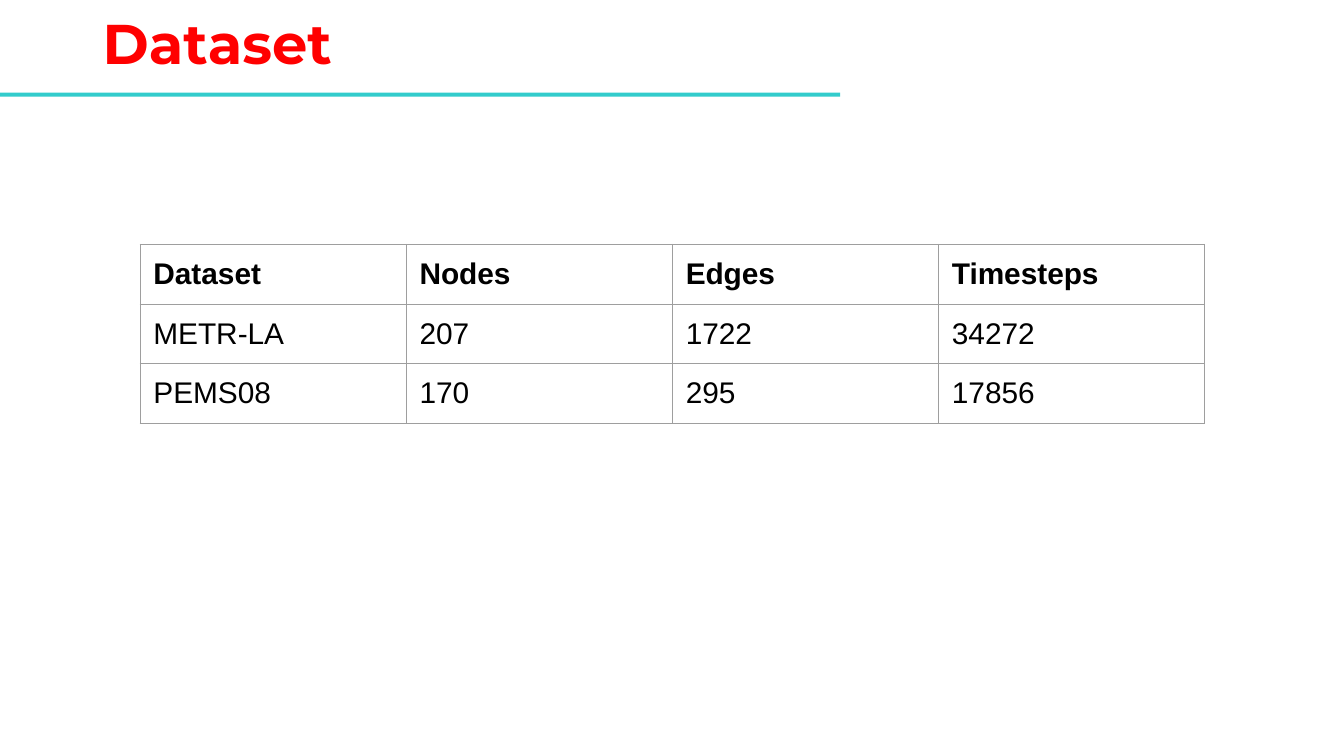
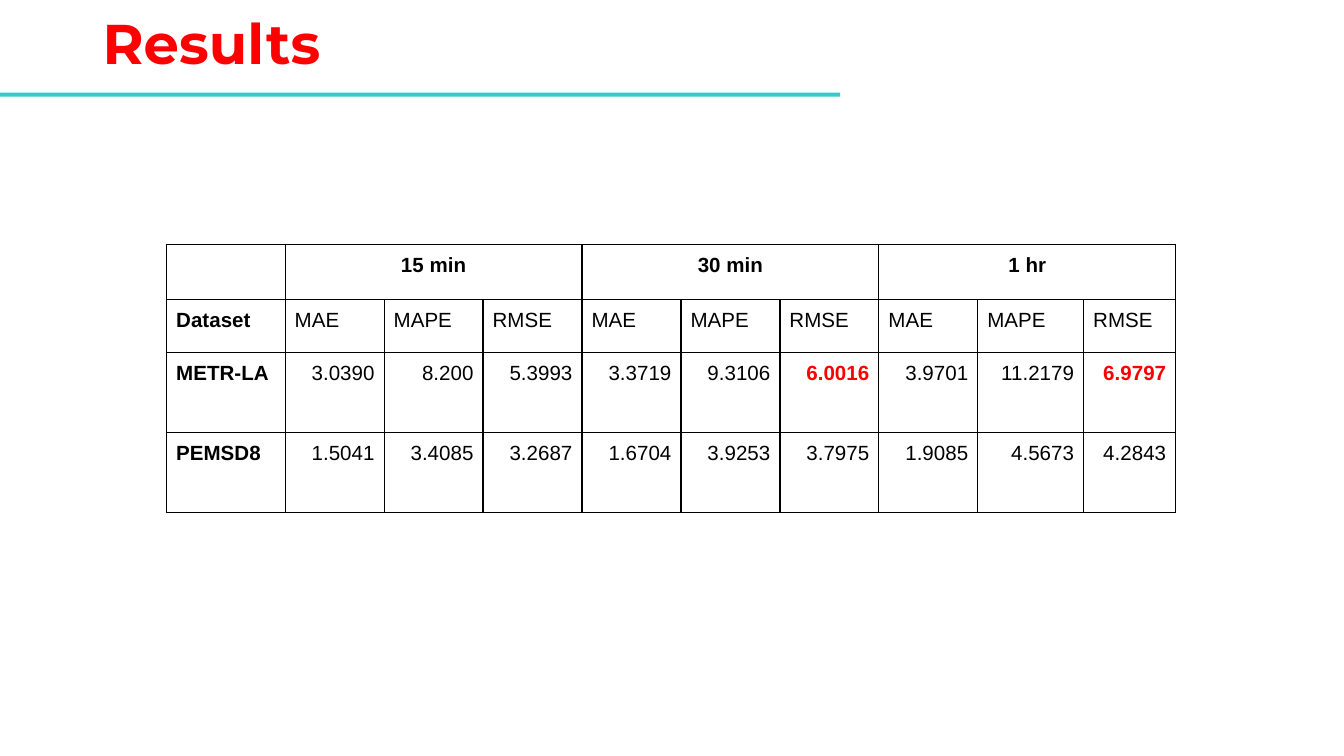
from lxml import etree
from pptx import Presentation
from pptx import util as u
from pptx.dml.color import RGBColor
from pptx.enum import shapes, text
from pptx.oxml.ns import qn

Cm, Pt = u.Cm, u.Pt
RED, TEAL, BLACK, WHITE, GREY = "FF0000", "33CCCC", "000000", "FFFFFF", "9E9E9E"
LEFT, CENTER, RIGHT = text.PP_ALIGN.LEFT, text.PP_ALIGN.CENTER, text.PP_ALIGN.RIGHT


def rgb(color):
    return RGBColor.from_string(color)


def set_borders(cell, color, width=0.75):
    tc_pr = cell._tc.get_or_add_tcPr()
    for i, side in enumerate(("lnL", "lnR", "lnT", "lnB")):
        ln = etree.Element(qn(f"a:{side}"), w=str(Pt(width)))
        fill = etree.SubElement(ln, qn("a:solidFill"))
        etree.SubElement(fill, qn("a:srgbClr"), val=color)
        tc_pr.insert(i, ln)


class Deck:
    title_font, body_font = "Montserrat", "Arial"
    table_top = 4.62

    def __init__(self):
        self.prs = Presentation()
        self.prs.slide_width, self.prs.slide_height = Cm(25.4), Cm(14.29)
        self.s = None

    def add_slide(self, title):
        self.s = self.prs.slides.add_slide(self.prs.slide_layouts[5])
        self.add_band()
        self.set_title(title)

    def add_band(self):
        sp = self.s.shapes.add_shape(
            shapes.MSO_SHAPE.RECTANGLE, 0, Cm(1.75), Cm(15.88), Cm(0.08))
        sp.shadow.inherit = False
        sp.fill.solid()
        sp.fill.fore_color.rgb = rgb(TEAL)
        sp.line.fill.background()

    def set_title(self, title):
        sp = self.s.shapes.title
        sp.left, sp.top, sp.width, sp.height = Cm(1.75), 0, Cm(21.9), Cm(1.75)
        tf = sp.text_frame
        tf.text = title
        tf.word_wrap = True
        tf.auto_size = text.MSO_AUTO_SIZE.NONE
        tf.vertical_anchor = text.MSO_ANCHOR.MIDDLE
        tf.margin_left = tf.margin_right = Cm(0.19)
        tf.margin_top = tf.margin_bottom = Cm(0.1)
        p = tf.paragraphs[0]
        p.alignment, p.line_spacing = LEFT, 0.9
        self.set_font(p, self.title_font, 30, RED, True)

    def set_font(self, p, name, size, color, bold):
        p.font.name, p.font.size, p.font.bold = name, Pt(size), bold
        p.font.color.rgb = rgb(color)

    def add_table(self, left, widths, heights, border, fill=None):
        frame = self.s.shapes.add_table(
            len(heights), len(widths), Cm(left), Cm(self.table_top),
            Cm(sum(widths)), Cm(sum(heights)))
        table = frame.table
        table.first_row = table.horz_banding = False
        for column, width in zip(table.columns, widths):
            column.width = Cm(width)
        for row, height in zip(table.rows, heights):
            row.height = Cm(height)
        for cell in table.iter_cells():
            if fill:
                cell.fill.solid()
                cell.fill.fore_color.rgb = rgb(fill)
            else:
                cell.fill.background()
            set_borders(cell, border)
        return table

    def fill_cell(self, cell, value, size, margin, bold=False, color=BLACK, align=LEFT):
        cell.margin_left = cell.margin_right = Cm(margin)
        cell.margin_top = cell.margin_bottom = Cm(margin)
        p = cell.text_frame.paragraphs[0]
        p.alignment = align
        self.set_font(p, self.body_font, size, color, bold)
        if value:
            p.add_run().text = value
        else:
            etree.SubElement(p._p, qn("a:endParaRPr"), sz=str(size * 100))


def add_dataset_slide(deck):
    deck.add_slide("Dataset")
    rows = [
        ("Dataset", "Nodes", "Edges", "Timesteps"),
        ("METR-LA", "207", "1722", "34272"),
        ("PEMS08", "170", "295", "17856"),
    ]
    table = deck.add_table(2.65, [5.03] * 4, [1.13] * 3, GREY)
    for i, row in enumerate(rows):
        for j, value in enumerate(row):
            deck.fill_cell(table.cell(i, j), value, 16, 0.25, bold=i == 0)


def add_results_slide(deck):
    deck.add_slide("Results")
    horizons = ("15 min", "30 min", "1 hr")
    metrics = ("MAE", "MAPE", "RMSE")
    rows = [
        [""] + [label for h in horizons for label in (h, "", "")],
        ["Dataset", *metrics * len(horizons)],
        ["METR-LA", "3.0390", "8.200", "5.3993", "3.3719", "9.3106", "6.0016",
         "3.9701", "11.2179", "6.9797"],
        ["PEMSD8", "1.5041", "3.4085", "3.2687", "1.6704", "3.9253", "3.7975",
         "1.9085", "4.5673", "4.2843"],
    ]
    highlights = {"6.0016", "6.9797"}
    table = deck.add_table(3.15, [2.24] + [1.87] * 7 + [2.0, 1.74],
                           [1.04, 1.01, 1.51, 1.5], BLACK, WHITE)
    for i, row in enumerate(rows):
        for j, value in enumerate(row):
            marked = value in highlights
            align = LEFT if j == 0 or i == 1 else CENTER if i == 0 else RIGHT
            deck.fill_cell(table.cell(i, j), value, 11, 0.18,
                           bold=i == 0 or j == 0 or marked,
                           color=RED if marked else BLACK, align=align)
    for j in range(1, len(rows[0]), len(metrics)):
        table.cell(0, j).merge(table.cell(0, j + len(metrics) - 1))


def main():
    deck = Deck()
    add_dataset_slide(deck)
    add_results_slide(deck)
    deck.prs.save("out.pptx")


if __name__ == "__main__":
    main()
